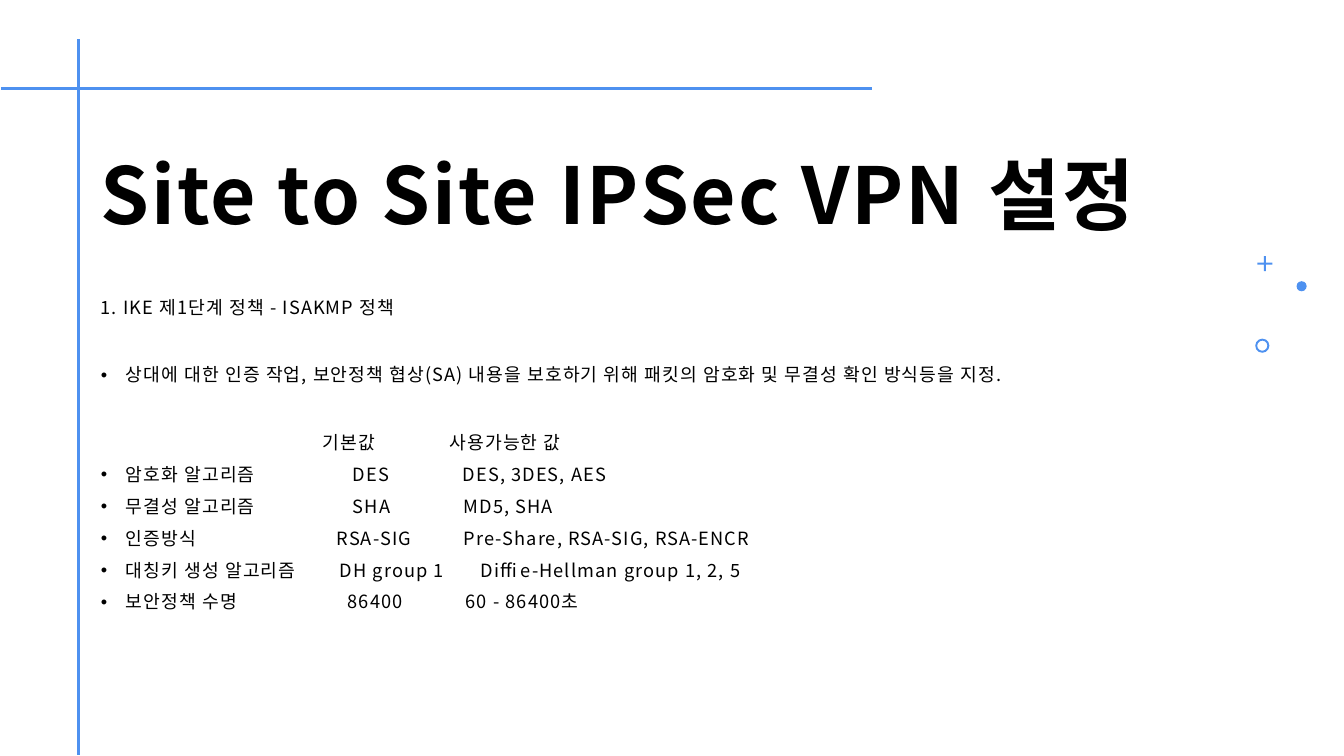
from lxml.etree import SubElement
from pptx import Presentation
from pptx.dml.color import RGBColor
from pptx.enum.shapes import MSO_CONNECTOR, MSO_SHAPE
from pptx.enum.text import MSO_ANCHOR
from pptx.oxml.ns import qn
from pptx.util import Inches, Pt

COLORS = {"accent": "4E91F0", "text": "000000"}
FONT = "Noto Sans CJK KR"
TITLE = {"size": Pt(56), "bold": True}
BODY = {"size": Pt(13), "bold": False}
LINE_GAP = 8.7
SECTION_GAP = 34.3

POLICY_ROWS = [
    ("암호화 알고리즘", "DES", "DES, 3DES, AES", (2.5, 3.59)),
    ("무결성 알고리즘", "SHA", "MD5, SHA", (2.5, 3.6)),
    ("인증방식", "RSA-SIG", "Pre-Share, RSA-SIG, RSA-ENCR", (2.34, 3.6)),
    ("대칭키 생성 알고리즘", "DH group 1", "Diffie-Hellman group 1, 2, 5", (2.37, 3.77)),
    ("보안정책 수명", "86400", "60 - 86400초", (2.45, 3.62)),
]


class SlideBuilder:
    def __init__(self, slide):
        self.slide = slide

    def color(self, name):
        return RGBColor.from_string(COLORS[name])

    def line(self, x1, y1, x2, y2):
        sp = self.slide.shapes.add_connector(
            MSO_CONNECTOR.STRAIGHT, *map(Inches, (x1, y1, x2, y2)))
        sp.line.color.rgb = self.color("accent")
        sp.line.width = Pt(2)
        SubElement(sp._element.spPr, qn("a:effectLst"))

    def shape(self, kind, x, y, size, adjust=None):
        sp = self.slide.shapes.add_shape(kind, *map(Inches, (x, y, size, size)))
        sp.shadow.inherit = False
        sp.fill.solid()
        sp.fill.fore_color.rgb = self.color("accent")
        sp.line.fill.background()
        if adjust is not None:
            sp.adjustments[0] = adjust

    def text_box(self, x, y, w, h, anchor):
        tf = self.slide.shapes.add_textbox(*map(Inches, (x, y, w, h))).text_frame
        frame = {"word_wrap": True, "vertical_anchor": anchor,
                 "margin_left": Inches(0.12), "margin_right": Inches(0.12),
                 "margin_top": Inches(0.12), "margin_bottom": Inches(0.1)}
        for key, value in frame.items():
            setattr(tf, key, value)
        return tf

    def paragraph(self, tf, text, style, spacing, before=0, bullet=False, tabs=()):
        p = tf.paragraphs[0]
        if p.runs:
            p = tf.add_paragraph()
        p.line_spacing = 0.9
        p.space_before = Pt(before)
        pPr = p._p.get_or_add_pPr()
        if bullet:
            pPr.set("marL", str(Inches(0.25)))
            pPr.set("indent", str(Inches(-0.25)))
            SubElement(pPr, qn("a:buFont"), typeface="Arial")
            SubElement(pPr, qn("a:buChar"), char="•")
        if tabs:
            stops = SubElement(pPr, qn("a:tabLst"))
            for stop in tabs:
                SubElement(stops, qn("a:tab"), pos=str(Inches(stop)), algn="l")
        r = p.add_run()
        r.text = text
        for key, value in {"name": FONT, **style}.items():
            setattr(r.font, key, value)
        r.font.color.rgb = self.color("text")
        rPr = r._r.get_or_add_rPr()
        rPr.set("spc", str(int(spacing * 100)))
        SubElement(rPr, qn("a:ea"), typeface=FONT)


def main():
    prs = Presentation()
    prs.slide_width, prs.slide_height = Inches(13.33), Inches(7.5)
    s = SlideBuilder(prs.slides.add_slide(prs.slide_layouts[6]))

    s.line(0.78, 0.39, 0.78, 7.49)
    s.line(0.01, 0.88, 8.65, 0.88)
    s.shape(MSO_SHAPE.CROSS, 12.47, 2.54, 0.15, 0.43)
    s.shape(MSO_SHAPE.OVAL, 12.86, 2.79, 0.1)
    s.shape(MSO_SHAPE.DONUT, 12.45, 3.36, 0.14, 0.14)

    title = s.text_box(0.88, 1.21, 11.54, 1.29, MSO_ANCHOR.BOTTOM)
    s.paragraph(title, "Site to Site IPSec VPN 설정", TITLE, 1.4)

    body = s.text_box(0.88, 2.84, 11.54, 4.02, MSO_ANCHOR.TOP)
    s.paragraph(body, "1. IKE 제1단계 정책 - ISAKMP 정책", BODY, 0.8)
    s.paragraph(body, "상대에 대한 인증 작업, 보안정책 협상(SA) 내용을 보호하기 위해 "
                "패킷의 암호화 및 무결성 확인 방식등을 지정.",
                BODY, 0.8, SECTION_GAP, bullet=True)
    s.paragraph(body, "\t기본값\t사용가능한 값", BODY, 0.8, SECTION_GAP, tabs=(2.2, 3.46))
    for label, default, allowed, tabs in POLICY_ROWS:
        s.paragraph(body, f"{label}\t{default}\t{allowed}", BODY, 0.8, LINE_GAP,
                    bullet=True, tabs=tabs)

    prs.save("out.pptx")


if __name__ == "__main__":
    main()
